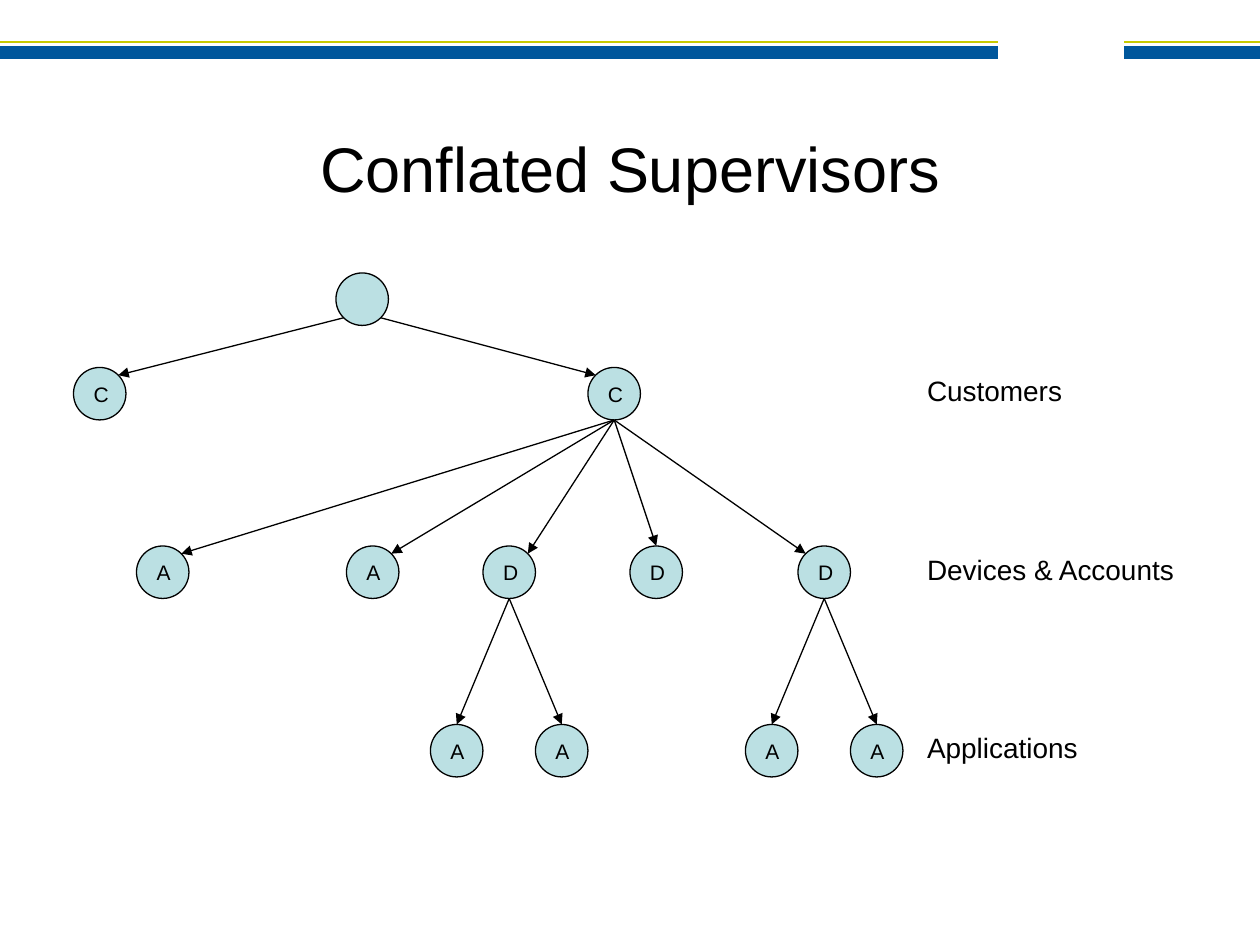
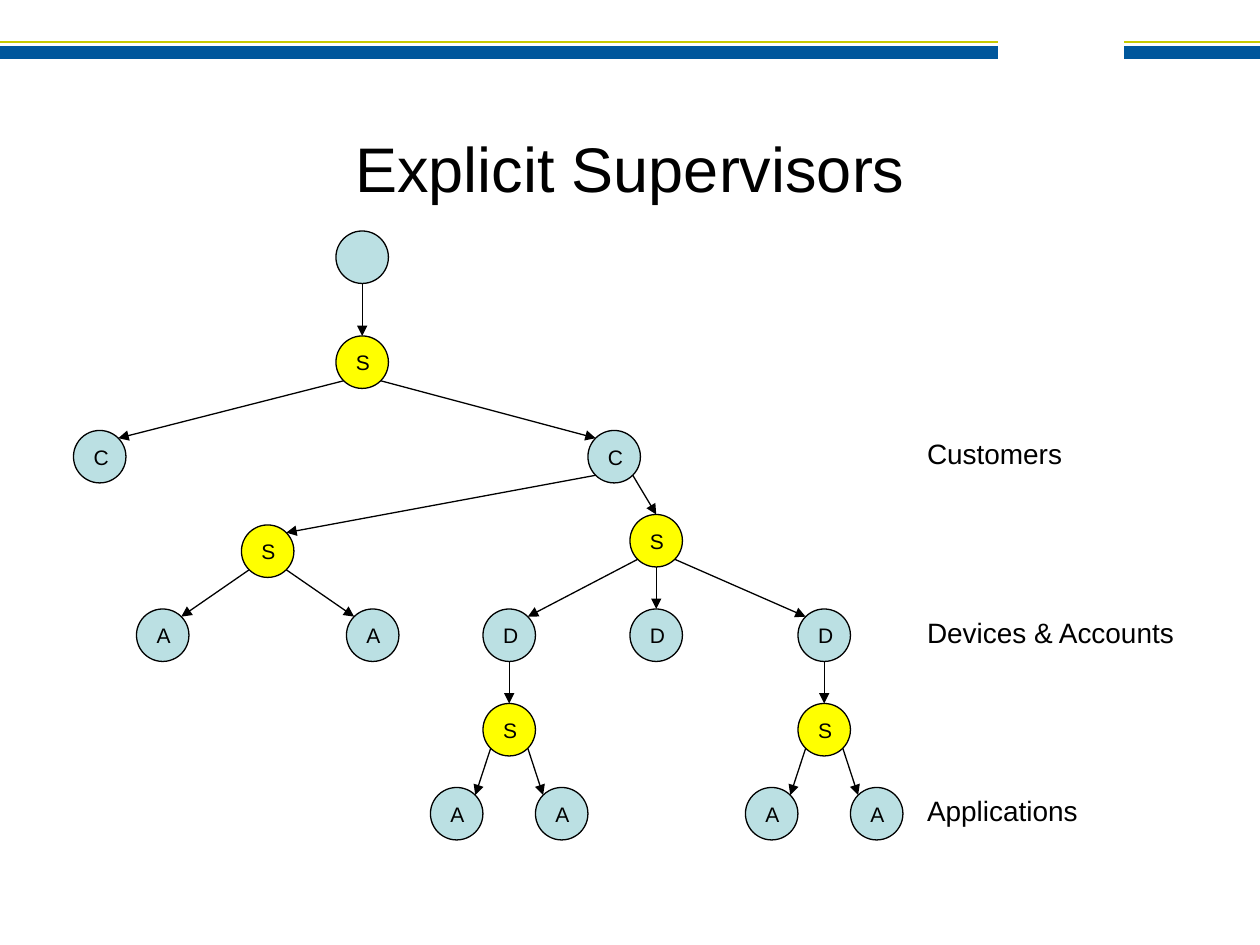
"""Build two slides comparing conflated and explicit supervisor trees."""
from dataclasses import dataclass
from math import hypot

from lxml import etree
from pptx import Presentation
from pptx.dml.color import RGBColor
from pptx.enum.shapes import MSO_CONNECTOR, MSO_SHAPE
from pptx.enum.text import MSO_ANCHOR, MSO_AUTO_SIZE, PP_ALIGN
from pptx.oxml.ns import qn
from pptx.util import Cm, Pt

STRAIGHT = MSO_CONNECTOR.STRAIGHT
ELLIPSE = MSO_SHAPE.OVAL
TOP, MIDDLE = MSO_ANCHOR.TOP, MSO_ANCHOR.MIDDLE
LEFT, CENTER = PP_ALIGN.LEFT, PP_ALIGN.CENTER
NO_FIT, GROW = MSO_AUTO_SIZE.NONE, MSO_AUTO_SIZE.SHAPE_TO_FIT_TEXT

SLIDE_WIDTH, SLIDE_HEIGHT = 25.4, 19.05
GRID = SLIDE_WIDTH / 120
DIAMETER = 5 * GRID
LABEL_LEFT = 18.44
BLANK_LAYOUT = 6

SITES = {
    "N": (0, -1), "S": (0, 1),
    "NE": (1, -1), "NW": (-1, -1), "SE": (1, 1), "SW": (-1, 1),
}


@dataclass(frozen=True)
class Theme:
    """Colours, font, type sizes and line widths."""
    ink: RGBColor = RGBColor.from_string("000000")
    process: RGBColor = RGBColor.from_string("BBE0E3")
    supervisor: RGBColor = RGBColor.from_string("FFFF00")
    blue: RGBColor = RGBColor.from_string("00579C")
    lime: RGBColor = RGBColor.from_string("C7CA00")
    font: str = "Arial"
    title_size: float = 36
    label_size: float = 16
    node_size: float = 12
    thin: float = 0.75
    rule: float = 1
    band: float = 7.75


def apply_format(target, **formats):
    """Set each named attribute on the target."""
    for name, value in formats.items():
        setattr(target, name, value)


class TreeDeck:
    """Hold the style and the current slide, and draw each kind of element."""

    def __init__(self, theme):
        """Start an empty deck."""
        self.theme = theme
        self.deck = Presentation()
        apply_format(self.deck, slide_width=Cm(SLIDE_WIDTH), slide_height=Cm(SLIDE_HEIGHT))
        self.page = None

    def add_page(self, title):
        """Add a page with its bands and title."""
        self.page = self.deck.slides.add_slide(self.deck.slide_layouts[BLANK_LAYOUT])
        for start, end in ((0, 20.12), (22.66, SLIDE_WIDTH)):
            self.add_line((start, 1.06), (end, 1.06), self.theme.blue, self.theme.band)
            self.add_line((start, 0.85), (end, 0.85), self.theme.lime, self.theme.rule)
        box = self.page.shapes.add_textbox(Cm(1.9), Cm(1.9), Cm(21.6), Cm(2.96))
        apply_format(box.text_frame, word_wrap=True, vertical_anchor=MIDDLE, auto_size=NO_FIT)
        self.add_text(box, title, self.theme.title_size, CENTER)

    def add_text(self, box, text, size, alignment=LEFT):
        """Put one paragraph in a box."""
        para = box.text_frame.paragraphs[0]
        para.alignment = alignment
        span = para.add_run()
        span.text = text
        apply_format(span.font, name=self.theme.font, size=Pt(size))
        span.font.color.rgb = self.theme.ink

    def add_line(self, start, end, color, width, arrow=False):
        """Draw a straight line between two points, with an optional arrowhead."""
        points = [Cm(length) for length in (*start, *end)]
        line = self.page.shapes.add_connector(STRAIGHT, *points)
        line.line.color.rgb = color
        line.line.width = Pt(width)
        properties = line._element.spPr
        if arrow:
            etree.SubElement(properties.find(qn("a:ln")), qn("a:tailEnd"), type="triangle")
        etree.SubElement(properties, qn("a:effectLst"))

    def add_node(self, letter, column, row):
        """Draw a circle at a grid position; supervisors stand out."""
        node = self.page.shapes.add_shape(
            ELLIPSE, Cm(column * GRID), Cm(row * GRID), Cm(DIAMETER), Cm(DIAMETER))
        node.shadow.inherit = False
        node.fill.solid()
        node.fill.fore_color.rgb = self.theme.supervisor if letter == "S" else self.theme.process
        node.line.color.rgb = self.theme.ink
        node.line.width = Pt(self.theme.thin)
        if letter:
            node.text_frame.vertical_anchor = TOP
            self.add_text(node, letter, self.theme.node_size)

    def add_label(self, text, row):
        """Name a level of the tree at the right."""
        box = self.page.shapes.add_textbox(Cm(LABEL_LEFT), Cm(row * GRID), Cm(5.5), Cm(0.94))
        apply_format(box.text_frame, word_wrap=False, auto_size=GROW)
        self.add_text(box, text, self.theme.label_size)

    def add_tree(self, nodes, links):
        """Draw the arrows of a tree, then its nodes."""
        for parent, leaving, child, entering in links:
            self.add_line(rim_point(nodes[parent], leaving), rim_point(nodes[child], entering),
                          self.theme.ink, self.theme.thin, arrow=True)
        for node in nodes.values():
            self.add_node(*node)


def rim_point(node, site):
    """Return the point on a node's rim in a compass direction."""
    _, column, row = node
    across, down = SITES[site]
    reach = DIAMETER / 2 / hypot(across, down)
    return (column * GRID + DIAMETER / 2 + across * reach,
            row * GRID + DIAMETER / 2 + down * reach)


LEVELS = {"Customers": 35, "Devices & Accounts": 52, "Applications": 69}
CUSTOMER_ROW, DEVICE_ROW, APPLICATION_ROW = LEVELS.values()
MEMBERS = {
    "customer 1": ("C", 7, CUSTOMER_ROW), "customer 2": ("C", 56, CUSTOMER_ROW),
    "account 1": ("A", 13, DEVICE_ROW), "account 2": ("A", 33, DEVICE_ROW),
    "device 1": ("D", 46, DEVICE_ROW), "device 2": ("D", 60, DEVICE_ROW),
    "device 3": ("D", 76, DEVICE_ROW),
    "app 1": ("A", 41, APPLICATION_ROW), "app 2": ("A", 51, APPLICATION_ROW),
    "app 3": ("A", 71, APPLICATION_ROW), "app 4": ("A", 81, APPLICATION_ROW),
}
EXPLICIT_SHIFT = 6

CONFLATED_ROOT = {"root": ("", 32, 26)}
CONFLATED_LINKS = [
    ("root", "SW", "customer 1", "NE"), ("root", "SE", "customer 2", "NW"),
    ("customer 2", "S", "account 1", "NE"), ("customer 2", "S", "account 2", "NE"),
    ("customer 2", "S", "device 1", "NE"), ("customer 2", "S", "device 2", "N"),
    ("customer 2", "S", "device 3", "NW"),
    ("device 1", "S", "app 1", "N"), ("device 1", "S", "app 2", "N"),
    ("device 3", "S", "app 3", "N"), ("device 3", "S", "app 4", "N"),
]

EXPLICIT_SUPERVISORS = {
    "root": ("", 32, 22), "customers": ("S", 32, 32),
    "accounts": ("S", 23, 50), "devices": ("S", 60, 49),
    "apps 1": ("S", 46, 67), "apps 3": ("S", 76, 67),
}
EXPLICIT_LINKS = [
    ("root", "S", "customers", "N"),
    ("customers", "SW", "customer 1", "NE"), ("customers", "SE", "customer 2", "NW"),
    ("customer 2", "SW", "accounts", "NE"), ("customer 2", "SE", "devices", "N"),
    ("accounts", "SW", "account 1", "NE"), ("accounts", "SE", "account 2", "NW"),
    ("devices", "SW", "device 1", "NE"), ("devices", "S", "device 2", "N"),
    ("devices", "SE", "device 3", "NW"),
    ("device 1", "S", "apps 1", "N"), ("device 3", "S", "apps 3", "N"),
    ("apps 1", "SW", "app 1", "NE"), ("apps 1", "SE", "app 2", "NW"),
    ("apps 3", "SW", "app 3", "NE"), ("apps 3", "SE", "app 4", "NW"),
]


def main():
    """Draw both trees and save the deck."""
    builder = TreeDeck(Theme())
    for title, supervisors, links, shift in (
        ("Conflated Supervisors", CONFLATED_ROOT, CONFLATED_LINKS, 0),
        ("Explicit Supervisors", EXPLICIT_SUPERVISORS, EXPLICIT_LINKS, EXPLICIT_SHIFT),
    ):
        builder.add_page(title)
        members = {name: (letter, column, row + shift)
                   for name, (letter, column, row) in MEMBERS.items()}
        builder.add_tree(supervisors | members, links)
        for text, row in LEVELS.items():
            builder.add_label(text, row + shift)
    builder.deck.save("out.pptx")


if __name__ == "__main__":
    main()
